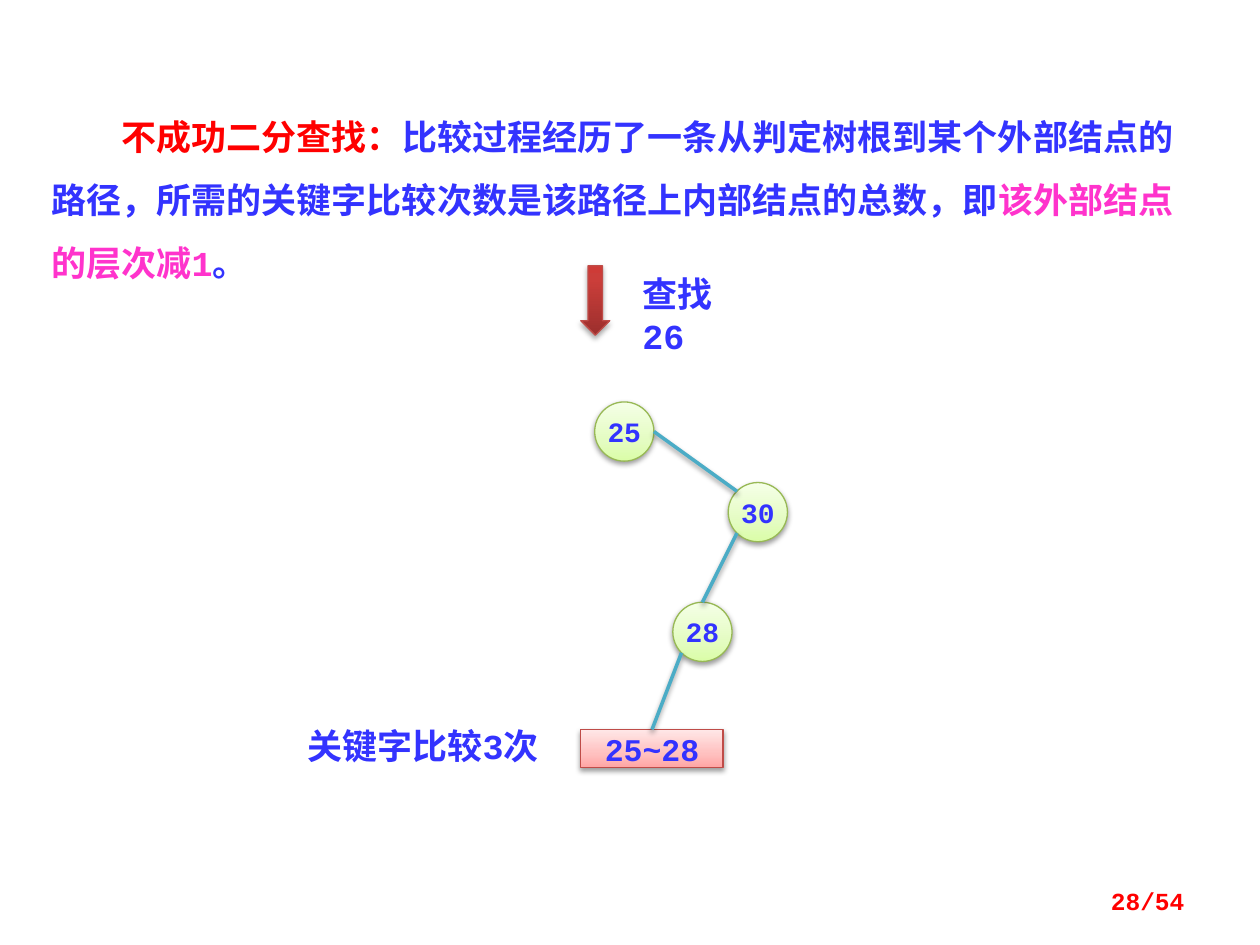
from math import cos, radians, sin

from lxml.etree import SubElement as Sub
from pptx import Presentation
from pptx.dml.color import RGBColor
from pptx.enum.shapes import MSO_CONNECTOR as Conn, MSO_SHAPE as Shape
from pptx.enum.text import MSO_ANCHOR as Anchor, PP_ALIGN as Align
from pptx.oxml.ns import qn
from pptx.util import Inches, Pt

BLUE, RED, PINK = "3333FF", "FF0000", "FF33CC"
GREEN = ((0, "DAFDA7"), (35, "E4FCC2"), (100, "F5FFE7"))
ROSE = ((0, "FFA6A5"), (35, "FFC0BF"), (100, "FFE7E7"))
BRICK = ((0, "9C2F2D"), (80, "CB3E3A"), (100, "CE3B37"))
SIZE = 4.7


def hue(code):
    return RGBColor.from_string(code)


def unit(cells):
    return Inches(round(cells / 10, 3))


def rim(spot, angle):
    turn = radians(angle)
    return spot[0] + SIZE / 2 * cos(turn), spot[1] + SIZE / 2 * sin(turn)


class Deck:
    """Style and current slide, measured on a grid of 100 columns by 75 rows."""

    def __init__(self):
        self.font = "Courier New"
        self.pres = Presentation()
        self.pres.slide_width, self.pres.slide_height = unit(100), unit(75)
        self.slide = self.pres.slides.add_slide(self.pres.slide_layouts[6])
        self.items = self.slide.shapes

    def words(self, frame, runs, size, align):
        para = frame.paragraphs[0]
        para.alignment = align
        para.font.name, para.font.size, para.font.bold = self.font, Pt(size), True
        for part, color in runs:
            run = para.add_run()
            run.text = part
            run.font.color.rgb = hue(color)
        return para

    def text(self, box, runs, size=20, align=Align.LEFT, anchor=Anchor.TOP):
        frame = self.items.add_textbox(*map(unit, box)).text_frame
        frame.word_wrap = True
        frame.vertical_anchor = anchor
        return self.words(frame, runs, size, align)

    def shade(self, item, alpha=38, dist=1.6):
        props = item._element.spPr
        for old in props.findall(qn("a:effectLst")):
            props.remove(old)
        cast = Sub(Sub(props, qn("a:effectLst")), qn("a:outerShdw"),
                   blurRad=str(Pt(3.1)), dist=str(Pt(dist)),
                   dir="5400000", rotWithShape="0")
        tint = Sub(cast, qn("a:srgbClr"), val="000000")
        Sub(tint, qn("a:alpha"), val=str(alpha * 1000))

    def blend(self, item, stops):
        item.fill.gradient()
        item.fill.gradient_angle = 90
        ramp = item._element.spPr.find(qn("a:gradFill")).find(qn("a:gsLst"))
        for old in list(ramp):
            ramp.remove(old)
        for share, color in stops:
            stop = Sub(ramp, qn("a:gs"), pos=str(share * 1000))
            Sub(stop, qn("a:srgbClr"), val=color)

    def shape(self, kind, box, stops, edge, label="", size=16, wrap=True, **cast):
        item = self.items.add_shape(kind, *map(unit, box))
        item.shadow.inherit = False
        self.blend(item, stops)
        item.line.color.rgb, item.line.width = hue(edge), Pt(0.75)
        self.shade(item, **cast)
        if label:
            frame = item.text_frame
            frame.margin_left = frame.margin_right = 0
            frame.margin_top = frame.margin_bottom = 0
            frame.word_wrap = wrap
            frame.vertical_anchor = Anchor.MIDDLE
            self.words(frame, [(label, BLUE)], size, Align.CENTER)
        return item

    def node(self, spot, label):
        box = spot[0] - SIZE / 2, spot[1] - SIZE / 2, SIZE, SIZE
        return self.shape(Shape.OVAL, box, GREEN, "98B955", label, wrap=False)

    def link(self, start, end):
        item = self.items.add_connector(Conn.STRAIGHT, *map(unit, start + end))
        item.line.color.rgb, item.line.width = hue("4BACC6"), Pt(2)
        self.shade(item)
        return item


def main():
    deck = Deck()
    lead = deck.text((3.1, 7, 91.1, 15.6), [
        ("不成功二分查找：", RED),
        ("比较过程经历了一条从判定树根到某个外部结点的路径，所需的关键字比较次数是该路径上内部结点的总数，即", BLUE),
        ("该外部结点的层次减1", PINK),
        ("。", BLUE)])
    lead.line_spacing = 1.5
    lead._p.get_or_add_pPr().set("indent", str(Pt(40)))

    root, right, low = (49.55, 34.25), (60.15, 40.65), (55.75, 50.15)
    for spot, label in ((right, "30"), (low, "28"), (root, "25")):
        deck.node(spot, label)
    leaf = deck.shape(Shape.RECTANGLE, (46.1, 57.9, 11.3, 3), ROSE, "BF4C48",
                      "25~28", 18)

    deck.text((50, 21.1, 10.2, 7.7), [("查找26", BLUE)])
    deck.text((23.4, 57, 21.9, 4.4), [("关键字比较3次", BLUE)])

    deck.link(rim(root, 0), rim(right, 225))
    deck.link(rim(right, 135), rim(low, 270))
    deck.link(rim(low, 135), (51.75, 57.9)).end_connect(leaf, 0)

    deck.shape(Shape.DOWN_ARROW, (46.1, 21.1, 2.3, 5.5), BRICK, "BF4C48",
               alpha=35, dist=1.8)
    deck.text((71.7, 69.5, 23.3, 4), [("28/54", RED)], 14, Align.RIGHT,
              Anchor.MIDDLE)
    deck.pres.save("out.pptx")


if __name__ == "__main__":
    main()
